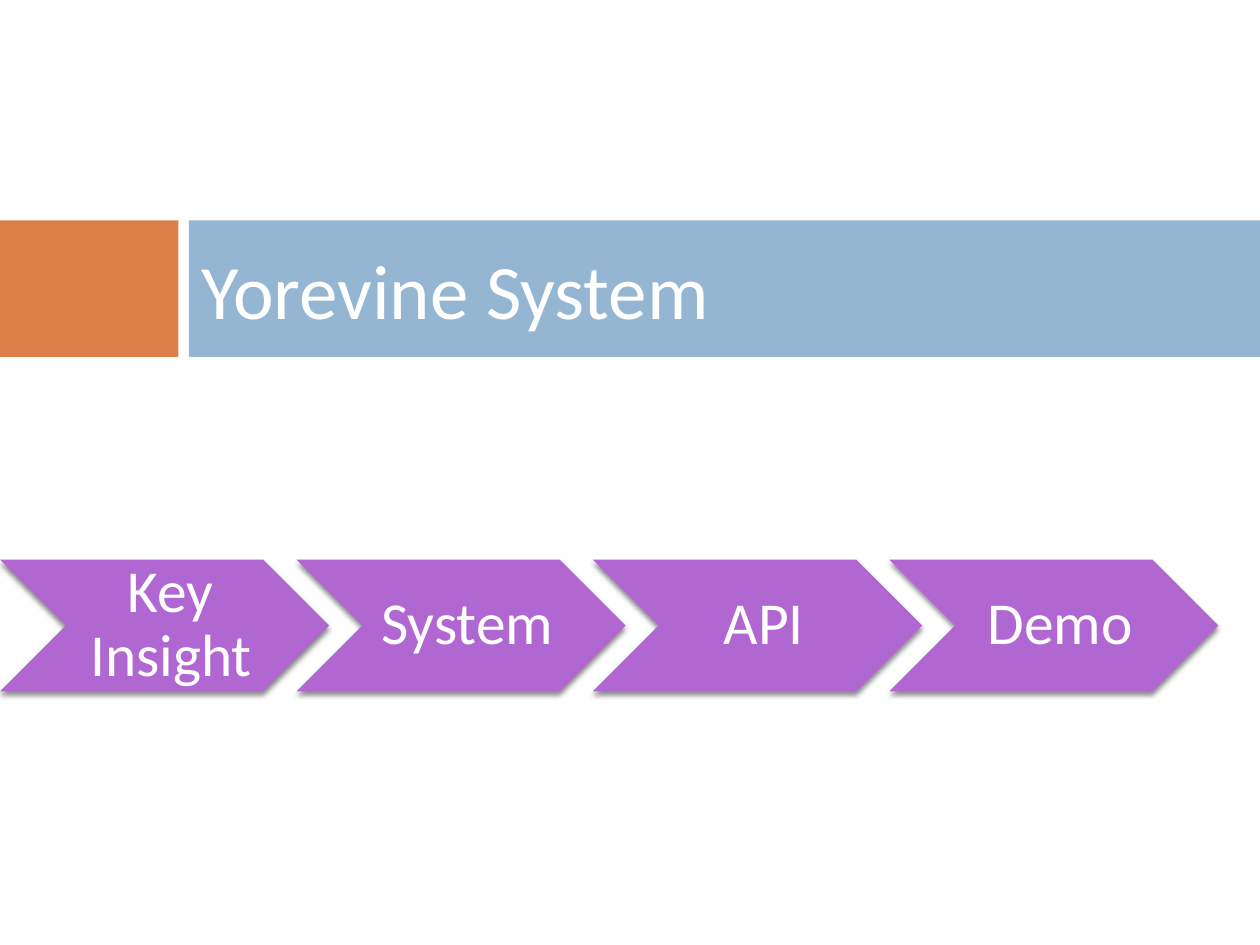
from dataclasses import dataclass

import lxml.etree
import pptx
import pptx.dml.color
import pptx.enum.shapes
import pptx.enum.text
import pptx.oxml
import pptx.oxml.ns
import pptx.shapes.autoshape
import pptx.slide
import pptx.util

Pt = pptx.util.Pt
Shapes = pptx.enum.shapes.MSO_SHAPE
Align = pptx.enum.text.PP_ALIGN


@dataclass(frozen=True)
class Theme:
    font: str = "Calibri"
    text: str = "FFFFFF"
    accent: str = "DD8047"
    band: str = "94B6D2"
    step: str = "B167D2"
    shadow: str = "000000"
    title_size: float = 44
    step_size: float = 34


@dataclass(frozen=True)
class Area:
    left: float
    top: float
    width: float
    height: float

    def lengths(self) -> list[int]:
        return [Pt(value) for value in (self.left, self.top, self.width, self.height)]


THEME = Theme()
BAND_TOP, BAND_HEIGHT = 126, 78
STEPS = ("Key Insight", "System", "API", "Demo")
STEP_AREA = Area(0, 319.8, 188.1, 75.3)
STEP_PITCH = 169.4
TITLE_FORMAT = {"alignment": Align.LEFT}
STEP_FORMAT = {"alignment": Align.CENTER, "line_spacing": 0.9}
TITLE_INSETS = {"margin_left": 7.2, "margin_right": 7.2, "margin_top": 3.6, "margin_bottom": 3.6}
STEP_INSETS = {"margin_left": 10.8, "margin_right": 3.6, "margin_top": 3.6, "margin_bottom": 3.6}


def add_solid(
    page: pptx.slide.Slide, kind: Shapes, area: Area, color: str
) -> pptx.shapes.autoshape.Shape:
    shape = page.shapes.add_shape(kind, *area.lengths())
    shape.shadow.inherit = False
    shape.fill.solid()
    shape.fill.fore_color.rgb = pptx.dml.color.RGBColor.from_string(color)
    shape.line.fill.background()
    return shape


def add_shadow(shape: pptx.shapes.autoshape.Shape) -> None:
    name = pptx.oxml.ns.qn
    effects = shape._element.spPr.find(name("a:effectLst"))
    shadow = lxml.etree.SubElement(
        effects,
        name("a:outerShdw"),
        {"blurRad": str(Pt(3)), "dist": str(Pt(2.4)), "dir": "5400000", "rotWithShape": "0"},
    )
    color = lxml.etree.SubElement(shadow, name("a:srgbClr"), val=THEME.shadow)
    lxml.etree.SubElement(color, name("a:alpha"), val="45000")


def add_text(
    page: pptx.slide.Slide,
    area: Area,
    text: str,
    size: float,
    para_format: dict,
    insets: dict[str, float],
) -> None:
    frame = page.shapes.add_textbox(*area.lengths()).text_frame
    frame.word_wrap = True
    frame.vertical_anchor = pptx.enum.text.MSO_ANCHOR.MIDDLE
    for key, value in insets.items():
        setattr(frame, key, Pt(value))
    para = frame.paragraphs[0]
    for key, value in para_format.items():
        setattr(para, key, value)
    span = para.add_run()
    span.text = text
    for key, value in {"name": THEME.font, "size": Pt(size)}.items():
        setattr(span.font, key, value)
    span.font.color.rgb = pptx.dml.color.RGBColor.from_string(THEME.text)


def add_step(page: pptx.slide.Slide, index: int, label: str) -> None:
    left = STEP_AREA.left + index * STEP_PITCH
    area = Area(left, STEP_AREA.top, STEP_AREA.width, STEP_AREA.height)
    add_shadow(add_solid(page, Shapes.CHEVRON, area, THEME.step))
    notch = area.height / 2
    inner = Area(left + notch, area.top, area.width - 2 * notch, area.height)
    add_text(page, inner, label, THEME.step_size, STEP_FORMAT, STEP_INSETS)


def main() -> None:
    deck = pptx.Presentation()
    deck.slide_width, deck.slide_height = Pt(720), Pt(540)
    page = deck.slides.add_slide(deck.slide_layouts[6])
    add_solid(page, Shapes.RECTANGLE, Area(0, BAND_TOP, 102, BAND_HEIGHT), THEME.accent)
    add_solid(page, Shapes.RECTANGLE, Area(108, BAND_TOP, 612, BAND_HEIGHT), THEME.band)
    title_area = Area(108, BAND_TOP, 600, BAND_HEIGHT)
    add_text(page, title_area, "Yorevine System", THEME.title_size, TITLE_FORMAT, TITLE_INSETS)
    for index, label in enumerate(STEPS):
        add_step(page, index, label)
    deck.save("out.pptx")


if __name__ == "__main__":
    main()
